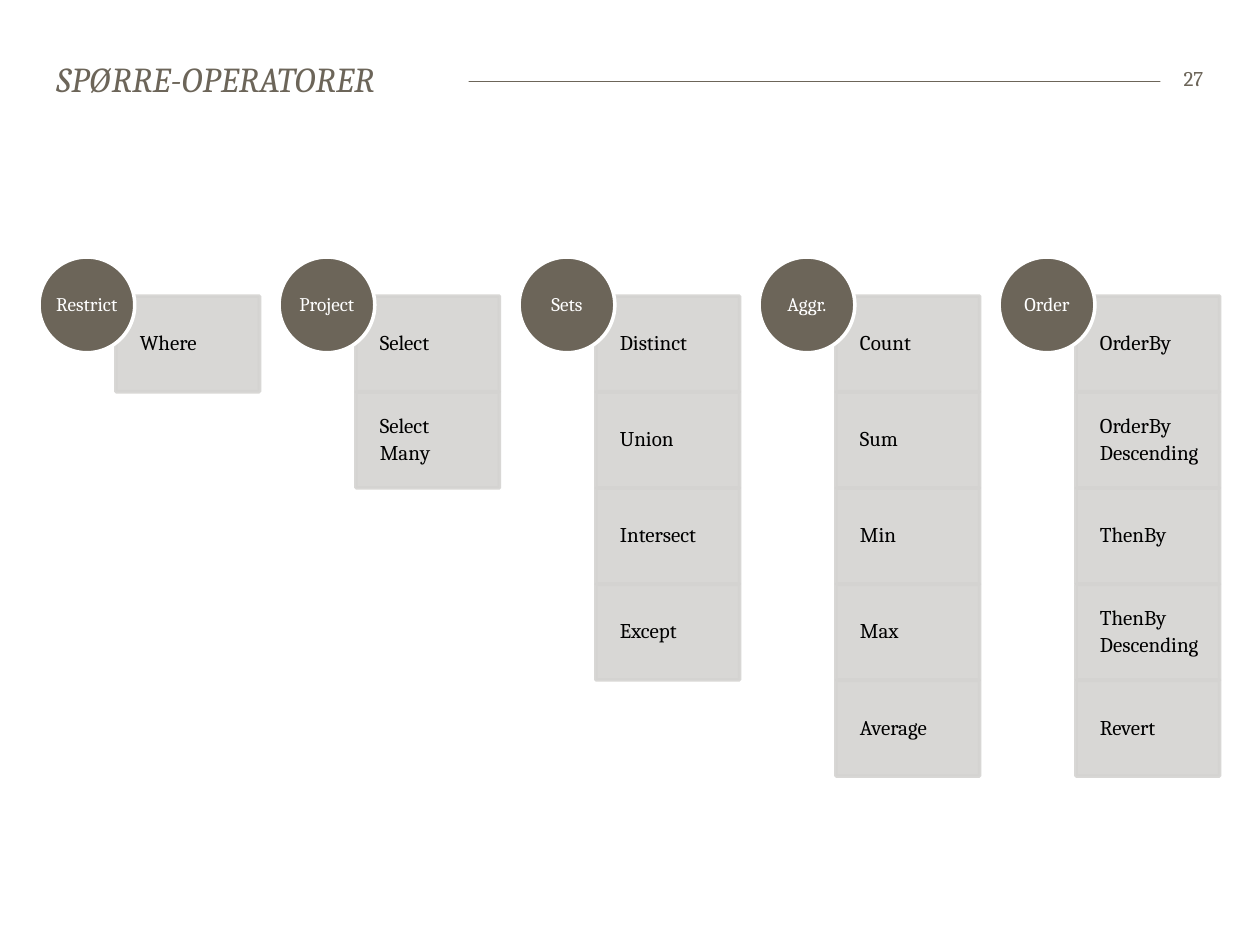
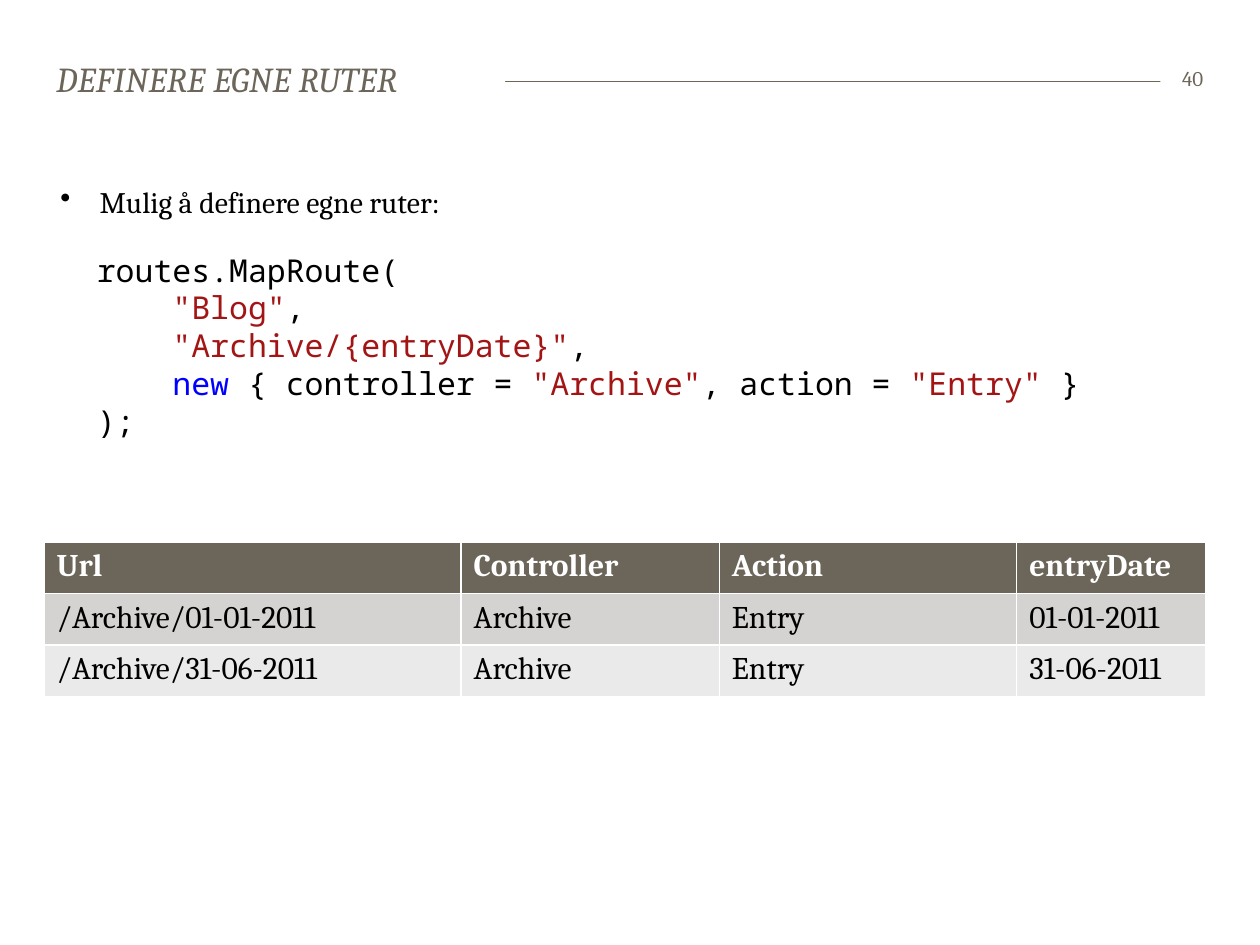
from lxml.etree import SubElement
from pptx import Presentation
from pptx.dml.color import RGBColor
from pptx.enum.shapes import MSO_CONNECTOR, MSO_SHAPE
from pptx.enum.text import MSO_ANCHOR, PP_ALIGN
from pptx.oxml.ns import qn
from pptx.util import Inches, Pt

COLORS = {"brown": "6C6559", "gray": "D4D3D1", "pale": "EBEAEA", "white": "FFFFFF",
          "black": "000000", "red": "A31515", "blue": "0000FF"}
SERIF, MONO = "Cambria", "Noto Sans Mono"

GROUPS = [
    ("Restrict", ["Where"]),
    ("Project", ["Select", "Select\nMany"]),
    ("Sets", ["Distinct", "Union", "Intersect", "Except"]),
    ("Aggr.", ["Count", "Sum", "Min", "Max", "Average"]),
    ("Order", ["OrderBy", "OrderBy\nDescending", "ThenBy", "ThenBy\nDescending", "Revert"]),
]
CODE = [
    [("routes.MapRoute(", "black")],
    [("    ", "black"), ('"Blog"', "red"), (",", "black")],
    [("    ", "black"), ('"Archive/{entryDate}"', "red"), (",", "black")],
    [("    ", "black"), ("new", "blue"), (" { controller = ", "black"), ('"Archive"', "red"),
     (", action = ", "black"), ('"Entry"', "red"), (" }", "black")],
    [(");", "black")],
]
ROUTES = [
    ("Url", "Controller", "Action", "entryDate"),
    ("/Archive/01-01-2011", "Archive", "Entry", "01-01-2011"),
    ("/Archive/31-06-2011", "Archive", "Entry", "31-06-2011"),
]


def color(name):
    """Return a named colour."""
    return RGBColor.from_string(COLORS[name])


def paint(target, name, alpha=None):
    """Fill a shape, cell or line solidly, with optional opacity in percent."""
    target.fill.solid()
    target.fill.fore_color.rgb = color(name)
    if alpha:
        for rgb in target.fill._xPr.iter(qn("a:srgbClr")):
            SubElement(rgb, qn("a:alpha"), val=str(alpha * 1000))


def style(para, size, tone, face=SERIF):
    """Set the font of a whole paragraph."""
    font = para.font
    font.size, font.name = Pt(size), face
    font.color.rgb = color(tone)
    return font


def inset(frame, left, top, right, bottom):
    """Set the margins of a text frame and let it wrap."""
    frame.word_wrap = True
    frame.margin_left, frame.margin_top = Inches(left), Inches(top)
    frame.margin_right, frame.margin_bottom = Inches(right), Inches(bottom)


def box(slide, left, top, width, height):
    """Add a text box measured in inches."""
    return slide.shapes.add_textbox(Inches(left), Inches(top), Inches(width), Inches(height))


def header(slide, title, width, number):
    """Draw the rule, the title and the slide number."""
    rule = slide.shapes.add_connector(MSO_CONNECTOR.STRAIGHT, Inches(0.46), Inches(0.65),
                                      Inches(9.55), Inches(0.65))
    rule.line.color.rgb, rule.line.width = color("brown"), Pt(0.5)
    SubElement(rule._element.spPr, qn("a:effectLst"))

    head = box(slide, 0.35, 0.46, width, 0.34)
    paint(head, "white")
    inset(head.text_frame, 0.1, 0, 0.1, 0)
    para = head.text_frame.paragraphs[0]
    para.text = title
    style(para, 20, "brown").italic = True
    para.runs[0].font._element.set("spc", "20")

    page = box(slide, 9.21, 0.47, 0.34, 0.3)
    paint(page, "white")
    inset(page.text_frame, 0.04, 0.05, 0, 0.05)
    page.text_frame.vertical_anchor = MSO_ANCHOR.MIDDLE
    para = page.text_frame.paragraphs[0]
    para.text, para.alignment = str(number), PP_ALIGN.RIGHT
    style(para, 12, "brown")


def label(slide, kind, place, text, size, tone, align):
    """Add a preset shape with a vertically centred label."""
    shape = slide.shapes.add_shape(kind, *(Inches(n) for n in place))
    shape.shadow.inherit = False
    shape.line.width = Pt(2)
    frame = shape.text_frame
    frame.text = text
    frame.vertical_anchor = MSO_ANCHOR.MIDDLE
    for para in frame.paragraphs:
        para.alignment, para.line_spacing, para.space_after = align, 0.9, Pt(2.5)
        style(para, size, tone)
    return shape


def column(slide, left, top, name, items):
    """Stack the operators of one group below its circle."""
    side = 0.76
    for row, item in enumerate(items):
        place = (left + 0.61, top + 0.31 + row * 0.7625, 1.14, side)
        card = label(slide, MSO_SHAPE.RECTANGLE, place, item, 12, "black", PP_ALIGN.LEFT)
        paint(card, "gray", 90)
        paint(card.line, "gray", 90)
        inset(card.text_frame, 0.19, 0.09, 0.09, 0.09)
    disc = label(slide, MSO_SHAPE.OVAL, (left, top, side, side), name, 11, "white",
                 PP_ALIGN.CENTER)
    paint(disc, "brown")
    paint(disc.line, "white")
    inset(disc.text_frame, 0, 0, 0, 0)


def bullet(slide, left, top, width, height, text):
    """Add the bulleted body text."""
    frame = box(slide, left, top, width, height).text_frame
    inset(frame, 0.12, 0.05, 0.1, 0.05)
    para = frame.paragraphs[0]
    para.text, para.line_spacing, para.space_after = text, 1.1, Pt(4)
    props = para._p.get_or_add_pPr()
    props.set("marL", str(Inches(0.31)))
    props.set("indent", str(-Inches(0.31)))
    SubElement(props, qn("a:buChar"), char="•")
    style(para, 17, "black")


def listing(slide, left, top, width, height):
    """Add the code with coloured tokens."""
    frame = box(slide, left, top, width, height).text_frame
    frame.word_wrap = True
    for row, line in enumerate(CODE):
        para = frame.add_paragraph() if row else frame.paragraphs[0]
        style(para, 18, "black", MONO)
        for text, tone in line:
            run = para.add_run()
            run.text = text
            run.font.color.rgb = color(tone)


def routes(slide, left, top, widths, height):
    """Add the table of routes."""
    grid = slide.shapes.add_table(len(ROUTES), len(widths), Inches(left), Inches(top),
                                  Inches(sum(widths)), Inches(height * len(ROUTES))).table
    for col, width in zip(grid.columns, widths):
        col.width = Inches(width)
    for row, (texts, fill) in enumerate(zip(ROUTES, ("brown", "gray", "pale"))):
        for col, text in enumerate(texts):
            cell = grid.cell(row, col)
            cell.text = text
            paint(cell, fill)
            font = style(cell.text_frame.paragraphs[0], 18, "black" if row else "white")
            font.bold = row == 0


def query(slide):
    """Build the slide of query operators."""
    header(slide, "SPØRRE-OPERATORER", 3.37, 27)
    for spot, (name, items) in enumerate(GROUPS):
        column(slide, 0.31 + spot * 7.62 / 4, 2.04, name, items)


def routing(slide):
    """Build the slide of custom routes."""
    header(slide, "DEFINERE EGNE RUTER", 3.66, 40)
    bullet(slide, 0.36, 1.38, 9.28, 5.9, "Mulig å definere egne ruter:")
    listing(slide, 0.67, 1.94, 8.98, 1.62)
    routes(slide, 0.35, 4.3, (3.31, 2.05, 2.36, 1.5), 0.41)


def main():
    """Build and save the deck."""
    deck = Presentation()
    deck.slide_width, deck.slide_height = Inches(10), Inches(7.5)
    for build in (query, routing):
        build(deck.slides.add_slide(deck.slide_layouts[6]))
    deck.save("out.pptx")


if __name__ == "__main__":
    main()
